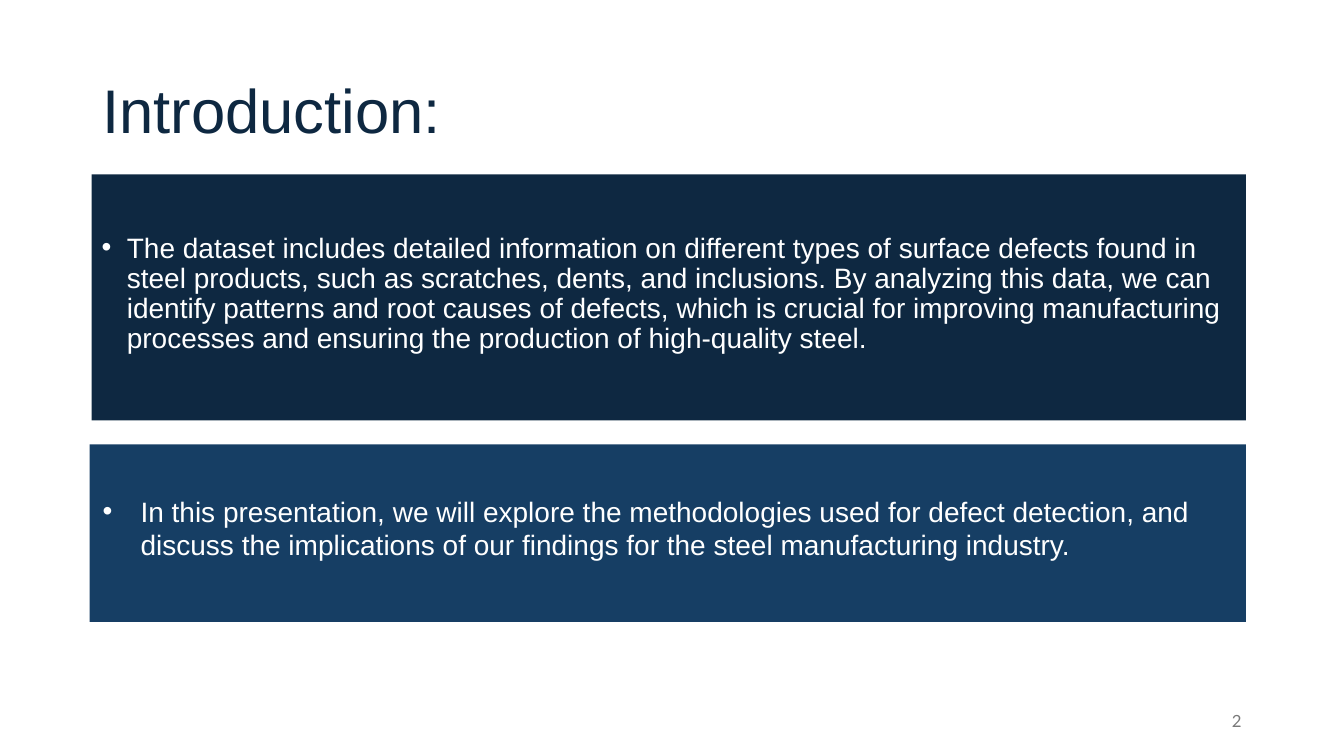
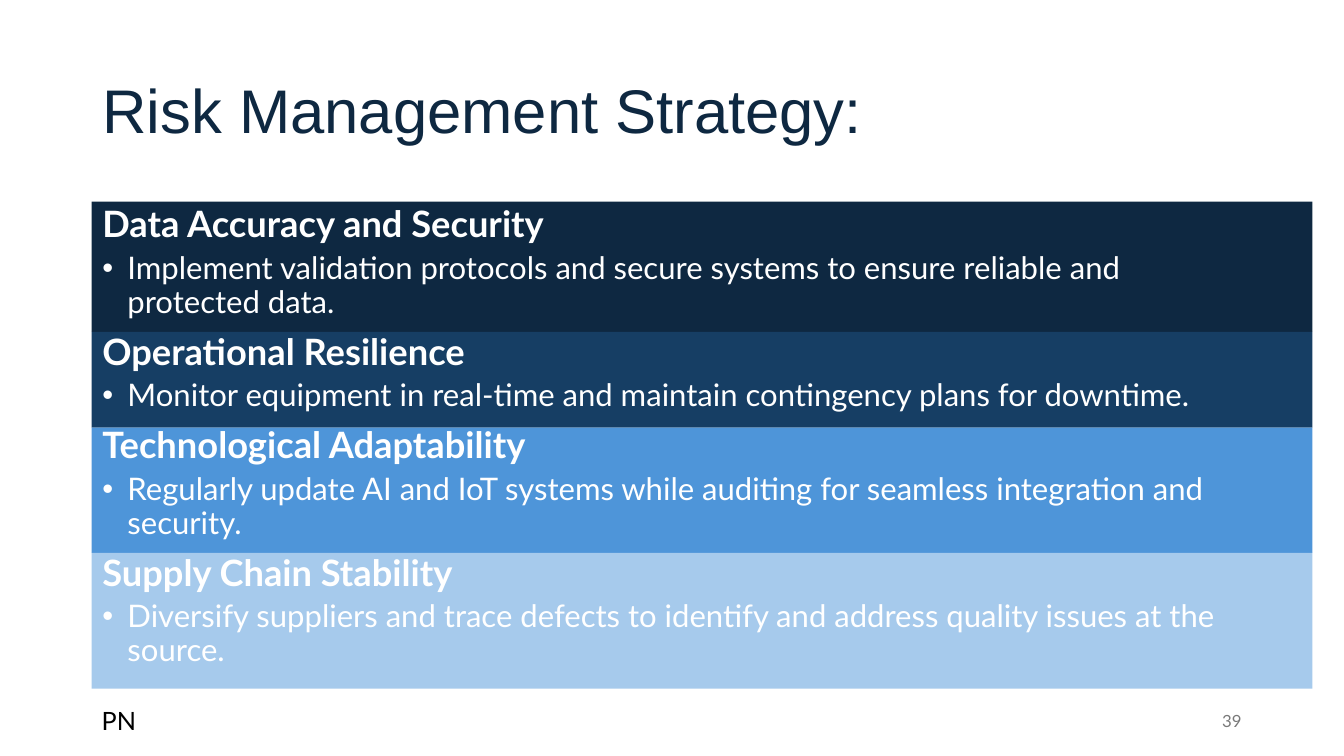
import pptx
import pptx.dml.color
import pptx.enum.shapes
import pptx.enum.text
import pptx.util
from lxml import etree

Pt = pptx.util.Pt
ALIGN = pptx.enum.text.PP_ALIGN
ANCHOR = pptx.enum.text.MSO_ANCHOR

NAVY, BLUE, SKY, PALE = "0E2841", "163E64", "4E95D9", "A6CAEC"
WHITE, GREY, BLACK = "FFFFFF", "797979", "000000"
HEAD_FONT, BODY_FONT = "Arial", "Lato"
LEFT = 65.5

INTRO_PANELS = [
    dict(box=(65.5, 124.6, 824.4, 175.7), color=NAVY, top=42.3, left=7.2, indent=18, spacing=Pt(21.6),
         text="The dataset includes detailed information on different types of surface defects found in "
              "steel products, such as scratches, dents, and inclusions. By analyzing this data, we can "
              "identify patterns and root causes of defects, which is crucial for improving manufacturing "
              "processes and ensuring the production of high-quality steel."),
    dict(box=(64, 317.5, 825.9, 126.7), color=BLUE, top=35.6, left=9.4, indent=27, spacing=Pt(24),
         text="In this presentation, we will explore the methodologies used for defect detection, and "
              "discuss the implications of our findings for the steel manufacturing industry."),
]

STRATEGIES = [
    ("Data Accuracy and Security",
     "Implement validation protocols and secure systems to ensure reliable and protected data.", NAVY, 93),
    ("Operational Resilience",
     "Monitor equipment in real-time and maintain contingency plans for downtime.", BLUE, 68.5),
    ("Technological Adaptability",
     "Regularly update AI and IoT systems while auditing for seamless integration and security.", SKY, 89.5),
    ("Supply Chain Stability",
     "Diversify suppliers and trace defects to identify and address quality issues at the source.", PALE, 97),
]
BANDS_TOP, BANDS_WIDTH = 144, 872


def rgb(color):
    return pptx.dml.color.RGBColor.from_string(color)


def add_rect(s, box, color):
    sp = s.shapes.add_shape(pptx.enum.shapes.MSO_SHAPE.RECTANGLE, *map(Pt, box))
    sp.shadow.inherit = False
    sp.fill.solid()
    sp.fill.fore_color.rgb = rgb(color)
    sp.line.fill.background()
    return sp


def add_text_frame(s, box, anchor=ANCHOR.TOP):
    tf = s.shapes.add_textbox(*map(Pt, box)).text_frame
    tf.word_wrap = True
    tf.vertical_anchor = anchor
    return tf


def write(p, text, size, font, color, bold=False, align=ALIGN.LEFT, spacing=1.0, before=0):
    p.text = text
    p.font.size = Pt(size)
    p.font.name = font
    p.font.bold = bold
    p.font.color.rgb = rgb(color)
    p.alignment = align
    p.line_spacing = spacing
    p.space_before = Pt(before)


def add_bullet(p, indent):
    pPr = p._p.get_or_add_pPr()
    pPr.set("marL", str(Pt(indent)))
    pPr.set("indent", str(-Pt(indent)))
    ns = pptx.oxml.ns.qn
    bullet_font = etree.Element(ns("a:buFont"), typeface="Arial")
    bullet = etree.Element(ns("a:buChar"), char="•")
    pPr.find(ns("a:defRPr")).addprevious(bullet_font)
    bullet_font.addnext(bullet)


def add_slide(prs, title, number):
    s = prs.slides.add_slide(prs.slide_layouts[6])
    tf = add_text_frame(s, (66, 28.8, 828, 104.4), ANCHOR.MIDDLE)
    write(tf.paragraphs[0], title, 44, HEAD_FONT, NAVY, spacing=0.9)
    tf = add_text_frame(s, (678, 500.5, 216, 28.8), ANCHOR.MIDDLE)
    write(tf.paragraphs[0], number, 12, BODY_FONT, GREY, align=ALIGN.RIGHT)
    return s


def build_introduction(prs):
    s = add_slide(prs, "Introduction:", "2")
    for panel in INTRO_PANELS:
        tf = add_rect(s, panel["box"], panel["color"]).text_frame
        tf.word_wrap = True
        tf.vertical_anchor = ANCHOR.TOP
        tf.margin_top, tf.margin_left = Pt(panel["top"]), Pt(panel["left"])
        p = tf.paragraphs[0]
        write(p, panel["text"], 20, HEAD_FONT, WHITE, spacing=panel["spacing"])
        add_bullet(p, panel["indent"])


def build_strategy(prs):
    s = add_slide(prs, "Risk Management Strategy:", "39")
    top = BANDS_TOP
    for _, _, color, height in STRATEGIES:
        add_rect(s, (LEFT, top, BANDS_WIDTH, height), color)
        top += height
    tf = add_text_frame(s, (66, BANDS_TOP, 828, 342.7))
    for i, (heading, action, _, _) in enumerate(STRATEGIES):
        p = tf.add_paragraph() if i else tf.paragraphs[0]
        write(p, heading, 25.9, BODY_FONT, WHITE, bold=True, spacing=0.9, before=10 if i else 0)
        p = tf.add_paragraph()
        write(p, action, 22.2, BODY_FONT, WHITE, spacing=0.9, before=5)
        add_bullet(p, 18)
    tf = add_text_frame(s, (LEFT, 500.5, 59, 28.8))
    write(tf.paragraphs[0], "PN", 18, BODY_FONT, BLACK)


def main():
    prs = pptx.Presentation()
    prs.slide_width, prs.slide_height = Pt(960), Pt(540)
    build_introduction(prs)
    build_strategy(prs)
    prs.save("out.pptx")


if __name__ == "__main__":
    main()
